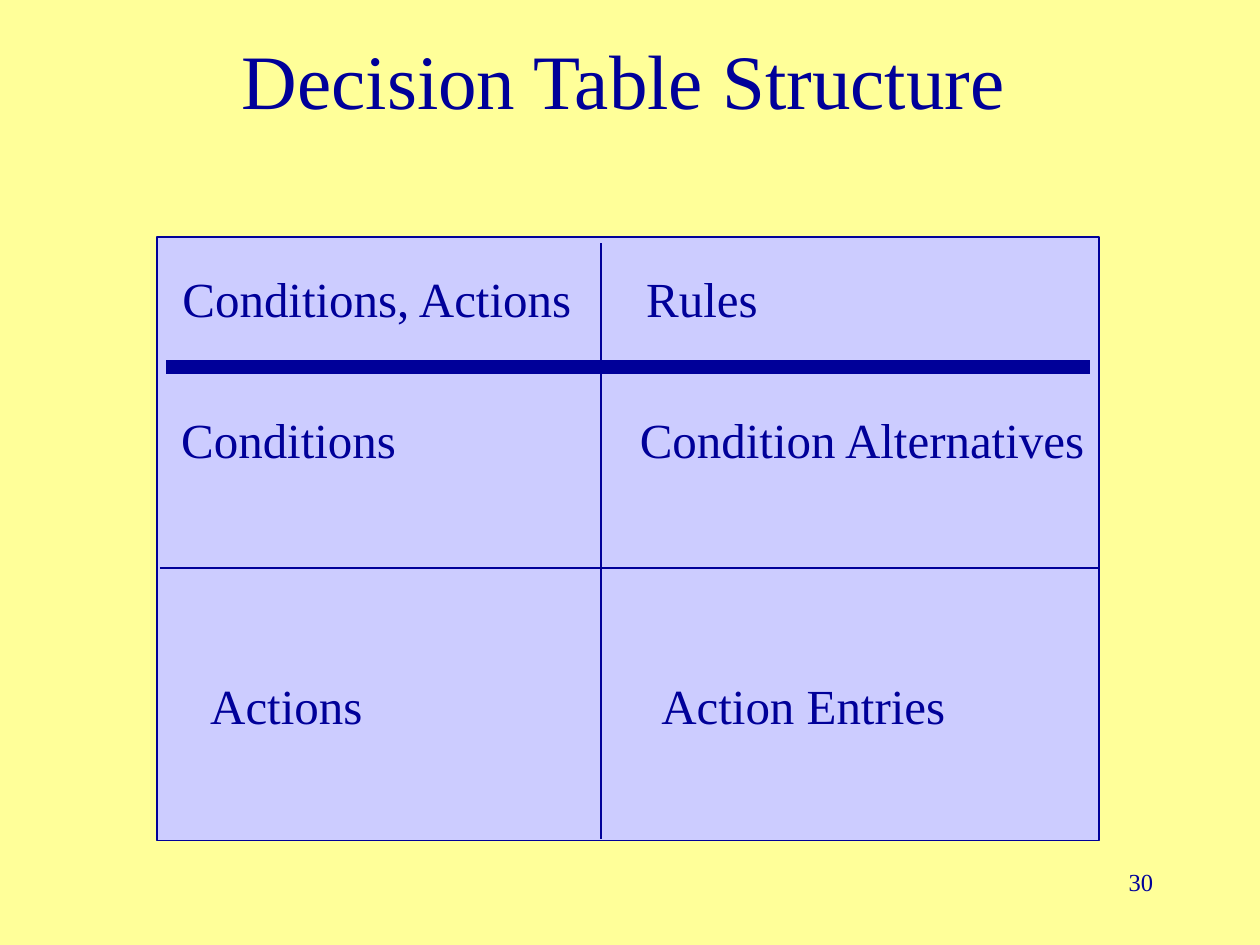
from lxml.etree import SubElement
from pptx import Presentation
from pptx.dml.color import RGBColor
from pptx.enum.shapes import MSO_CONNECTOR, MSO_SHAPE
from pptx.enum.text import MSO_ANCHOR, PP_ALIGN
from pptx.oxml.ns import qn
from pptx.util import Inches, Pt

NAVY = "000099"
LAVENDER = "CCCCFF"
YELLOW = "FFFF99"


def color(value):
    return RGBColor.from_string(value)


class SlideBuilder:
    """Draw styled elements on a slide with a grid of 100 columns by 75 rows."""

    font_name = "Times New Roman"
    unit = 0.1

    def __init__(self, presentation):
        presentation.slide_width = self.grid(100)
        presentation.slide_height = self.grid(75)
        self.slide = presentation.slides.add_slide(presentation.slide_layouts[6])
        fill = self.slide.background.fill
        fill.solid()
        fill.fore_color.rgb = color(YELLOW)

    def grid(self, count):
        return Inches(count * self.unit)

    def place(self, *counts):
        return [self.grid(count) for count in counts]

    def stroke(self, line, width):
        line.color.rgb = color(NAVY)
        line.width = Pt(width)

    def rectangle(self, left, top, width, height):
        shape = self.slide.shapes.add_shape(
            MSO_SHAPE.RECTANGLE, *self.place(left, top, width, height))
        shape.shadow.inherit = False
        shape.fill.solid()
        shape.fill.fore_color.rgb = color(LAVENDER)
        self.stroke(shape.line, 1)

    def line(self, start, end, width=1):
        connector = self.slide.shapes.add_connector(
            MSO_CONNECTOR.STRAIGHT, *self.place(*start, *end))
        self.stroke(connector.line, width)
        SubElement(connector._element.spPr, qn("a:effectLst"))

    def text(self, words, left, top, width, height, size,
             align=PP_ALIGN.LEFT, anchor=MSO_ANCHOR.TOP):
        shape = self.slide.shapes.add_textbox(*self.place(left, top, width, height))
        frame = shape.text_frame
        frame.word_wrap = True
        frame.vertical_anchor = anchor
        paragraph = frame.paragraphs[0]
        paragraph.text = words
        paragraph.alignment = align
        paragraph.font.name = self.font_name
        paragraph.font.size = Pt(size)
        paragraph.font.color.rgb = color(NAVY)

    def label(self, words, left, top, width):
        self.text(words, left, top, width, 5.6, 28)


def main():
    presentation = Presentation()
    builder = SlideBuilder(presentation)
    builder.text("Decision Table Structure", 7, 0, 85, 12.5, 44,
                 PP_ALIGN.CENTER, MSO_ANCHOR.MIDDLE)

    builder.rectangle(12.45, 18.8, 74.8, 47.9)
    builder.line((13.2, 29.1), (86.5, 29.1), 8)
    builder.line((47.7, 19.3), (47.7, 66.6))
    builder.line((12.7, 45.1), (87.3, 45.1))

    quadrant_rows = {
        20.8: [("Conditions, Actions", 13.5, 33.4), ("Rules", 50.3, 11.1)],
        32: [("Conditions", 13.4, 19.3), ("Condition Alternatives", 49.8, 37.8)],
        53.1: [("Actions", 15.7, 14.4), ("Action Entries", 51.5, 24.8)],
    }
    for top, labels in quadrant_rows.items():
        for words, left, width in labels:
            builder.label(words, left, top, width)

    builder.text("30", 71.7, 68.3, 20.8, 5, 14, PP_ALIGN.RIGHT)
    presentation.save("out.pptx")


if __name__ == "__main__":
    main()
